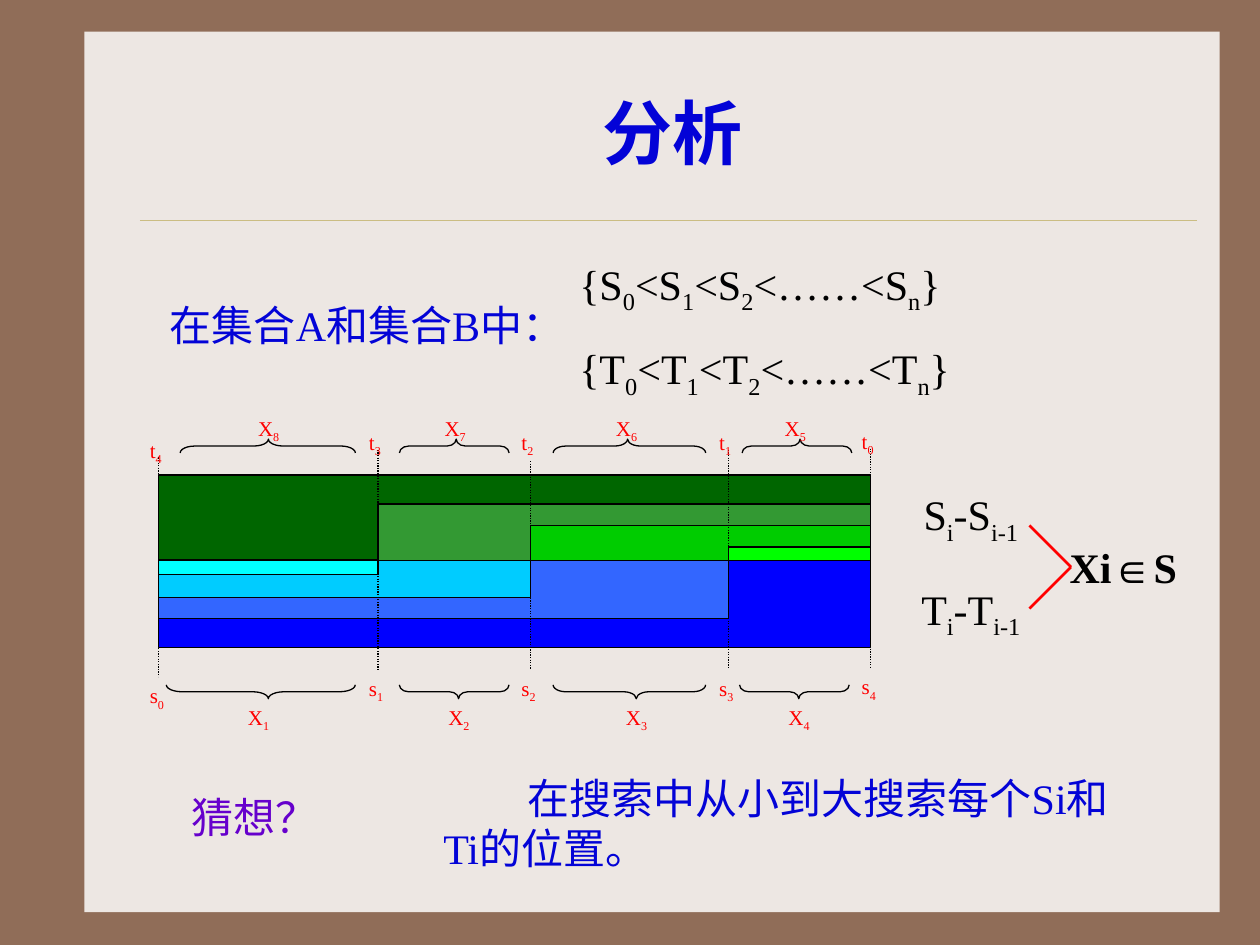
from dataclasses import dataclass

from lxml.etree import SubElement
from pptx import Presentation
from pptx.dml.color import RGBColor
from pptx.enum.dml import MSO_LINE
from pptx.enum.shapes import MSO_CONNECTOR, MSO_SHAPE
from pptx.enum.text import MSO_ANCHOR, PP_ALIGN
from pptx.oxml import parse_xml
from pptx.oxml.ns import nsdecls, qn
from pptx.util import Inches, Pt

BROWN = RGBColor(0x90, 0x6D, 0x58)
CREAM = RGBColor(0xED, 0xE7, 0xE3)
SAND = RGBColor(0xCB, 0xBD, 0x83)
BLUE = RGBColor(0x03, 0x03, 0xD7)
BLACK = RGBColor(0, 0, 0)
RED = RGBColor(0xFF, 0, 0)
VIOLET = RGBColor(0x66, 0, 0xCC)
MAGENTA = RGBColor(0xCC, 0, 0xCC)
LATIN_FONT = "Times New Roman"
CHINESE_FONT = "Noto Sans CJK SC"

AXIS = 4.45
BAR_LEFT, BAR_RIGHT = 1.26, 6.91
BRACE_DEPTH = 0.11
LABEL_SHIFT = 1.95


@dataclass
class Bar:
    left: float
    top: float
    right: float
    bottom: float
    color: RGBColor


@dataclass
class Boundary:
    x: float
    top: float
    middle: float
    label_top: float


@dataclass
class Brace:
    left: float
    right: float
    cusp: float
    label_left: float
    index: int
    above: bool


@dataclass
class Caption:
    left: float
    top: float
    width: float
    height: float
    pieces: tuple[str, ...]
    color: RGBColor = BLACK
    size: float = 24
    bold: bool = False
    centered: bool = False
    indent: float = 0


BARS = [
    Bar(BAR_LEFT, 3.77, BAR_RIGHT, AXIS, RGBColor(0, 0x66, 0)),
    Bar(BAR_LEFT, AXIS, BAR_RIGHT, 5.14, RGBColor(0, 0, 0xFF)),
    Bar(BAR_LEFT, AXIS, 5.78, 4.91, RGBColor(0x33, 0x66, 0xFF)),
    Bar(BAR_LEFT, AXIS, 4.21, 4.74, RGBColor(0, 0xCC, 0xFF)),
    Bar(BAR_LEFT, AXIS, 3, 4.56, RGBColor(0, 0xFF, 0xFF)),
    Bar(3, 4, BAR_RIGHT, AXIS, RGBColor(0x33, 0x99, 0x33)),
    Bar(4.21, 4.17, BAR_RIGHT, AXIS, RGBColor(0, 0xCC, 0)),
    Bar(5.78, 4.34, BAR_RIGHT, AXIS, RGBColor(0, 0xFF, 0)),
]

BOUNDARIES = [
    Boundary(BAR_LEFT, 3.63, 4.51, 3.42),
    Boundary(3, 3.57, 4.51, 3.36),
    Boundary(4.21, 3.66, 4.6, 3.36),
    Boundary(5.78, 3.57, 4.68, 3.36),
    Boundary(BAR_RIGHT, 3.56, 4.8, 3.35),
]

BRACES = [
    Brace(1.32, 2.82, 2.13, 1.87, 1, False),
    Brace(3.17, 4.04, 3.64, 3.46, 2, False),
    Brace(4.39, 5.6, 5.05, 4.87, 3, False),
    Brace(5.87, 6.74, 6.34, 6.16, 4, False),
    Brace(5.89, 6.76, 6.35, 6.13, 5, True),
    Brace(4.39, 5.6, 4.98, 4.79, 6, True),
    Brace(3.17, 4.04, 3.62, 3.43, 7, True),
    Brace(1.43, 2.82, 2.13, 1.95, 8, True),
]


def chain(letter: str) -> tuple[str, ...]:
    return ("{" + letter, "0", "<" + letter, "1", "<" + letter, "2",
            "<……<" + letter, "n", "}")


CAPTIONS = [
    Caption(1.25, 2.33, 3.08, 0.9, ("在集合A和集合B中：",), BLUE),
    Caption(4.5, 2, 3.17, 0.56, chain("S")),
    Caption(4.5, 2.67, 3.17, 0.56, chain("T")),
    Caption(8.33, 4.25, 1.17, 0.5, ("Xi∈S",), bold=True, centered=True),
    Caption(7.08, 3.83, 1.25, 0.56, ("S", "i", "-S", "i-1"), centered=True),
    Caption(7.08, 4.58, 1.25, 0.56, ("T", "i", "-T", "i-1"), centered=True),
    Caption(3.42, 6.08, 5.5, 0.9, ("在搜索中从小到大搜索每个Si和Ti的位置。",), BLUE, indent=0.67),
]


def add_run(paragraph, text: str, size: float, color: RGBColor, bold=False, latin=LATIN_FONT):
    run = paragraph.add_run()
    run.text = text
    run.font.size = Pt(size)
    run.font.bold = bold
    run.font.color.rgb = color
    run.font.name = latin
    SubElement(run.font._element, qn("a:ea")).set("typeface", CHINESE_FONT)
    return run


def add_caption(slide, caption: Caption) -> None:
    box = slide.shapes.add_textbox(Inches(caption.left), Inches(caption.top),
                                   Inches(caption.width), Inches(caption.height))
    box.text_frame.word_wrap = True
    paragraph = box.text_frame.paragraphs[0]
    paragraph.alignment = PP_ALIGN.CENTER if caption.centered else PP_ALIGN.LEFT
    if caption.indent:
        paragraph._p.get_or_add_pPr().set("indent", str(Inches(caption.indent)))
    for position, piece in enumerate(caption.pieces):
        run = add_run(paragraph, piece, caption.size, caption.color, caption.bold)
        if position % 2:
            run.font._element.set("baseline", "-25000")


def add_label(slide, left: float, top: float, width: float, letter: str, index: int) -> None:
    add_caption(slide, Caption(left, top, width, 0.33, (letter, str(index)), RED, 12))


def add_line(slide, start: tuple[float, float], end: tuple[float, float],
             color: RGBColor, width: float, dotted=False):
    line = slide.shapes.add_connector(MSO_CONNECTOR.STRAIGHT, Inches(start[0]), Inches(start[1]),
                                      Inches(end[0]), Inches(end[1]))
    line.line.color.rgb = color
    line.line.width = Pt(width)
    if dotted:
        line.line.dash_style = MSO_LINE.ROUND_DOT
    SubElement(line._element.spPr, qn("a:effectLst"))
    return line


def add_bar(slide, bar: Bar, outlined=True):
    shape = slide.shapes.add_shape(MSO_SHAPE.RECTANGLE, Inches(bar.left), Inches(bar.top),
                                   Inches(bar.right - bar.left), Inches(bar.bottom - bar.top))
    shape.shadow.inherit = False
    shape.fill.solid()
    shape.fill.fore_color.rgb = bar.color
    if outlined:
        shape.line.color.rgb = BLACK
        shape.line.width = Pt(0.75)
    else:
        shape.line.fill.background()
    return shape


def add_brace(slide, brace: Brace) -> None:
    length = brace.right - brace.left
    center_x = (brace.left + brace.right) / 2
    center_y = 3.54 if brace.above else 5.49
    shape = slide.shapes.add_shape(
        MSO_SHAPE.LEFT_BRACE, Inches(center_x - BRACE_DEPTH / 2), Inches(center_y - length / 2),
        Inches(BRACE_DEPTH), Inches(length))
    shape.rotation = 90 if brace.above else 270
    shape.adjustments[0] = length / 12 / BRACE_DEPTH
    cusp_offset = brace.right - brace.cusp if brace.above else brace.cusp - brace.left
    shape.adjustments[1] = cusp_offset / length
    shape.shadow.inherit = False
    shape.fill.background()
    shape.line.color.rgb = BLACK
    shape.line.width = Pt(0.75)
    add_label(slide, brace.label_left, 3.25 if brace.above else 5.54, 0.43, "X", brace.index)


def add_guess(slide) -> None:
    box = slide.shapes.add_textbox(Inches(1.42), Inches(5.92), Inches(1.5), Inches(1.13))
    box.text_frame.word_wrap = False
    box.text_frame.vertical_anchor = MSO_ANCHOR.MIDDLE
    run = add_run(box.text_frame.paragraphs[0], "猜想？", 24, VIOLET, latin=CHINESE_FONT)
    run.font.fill.gradient()
    run.font.fill.gradient_angle = 270
    for stop, color in zip(run.font.fill.gradient_stops, (VIOLET, MAGENTA)):
        stop.color.rgb = color
    run.font._element.insert(0, parse_xml(
        f'<a:ln {nsdecls("a")} w="{Pt(0.75)}"><a:solidFill><a:srgbClr val="CC99FF"/>'
        '</a:solidFill></a:ln>'))


def main() -> None:
    presentation = Presentation()
    presentation.slide_width, presentation.slide_height = Inches(10), Inches(7.5)
    slide = presentation.slides.add_slide(presentation.slide_layouts[5])
    slide.background.fill.solid()
    slide.background.fill.fore_color.rgb = BROWN

    title = slide.shapes.title
    title.left, title.top, title.width, title.height = map(Inches, (1.17, 0.42, 8.33, 1.25))
    title.text_frame.vertical_anchor = MSO_ANCHOR.MIDDLE
    title.text_frame.paragraphs[0].alignment = PP_ALIGN.CENTER
    add_run(title.text_frame.paragraphs[0], "分析", 40, BLUE, bold=True)
    panel = add_bar(slide, Bar(0.67, 0.25, 9.68, 7.24, CREAM), outlined=False)
    title.element.addprevious(panel.element)
    add_line(slide, (1.11, 1.75), (9.5, 1.75), SAND, 0.25)

    add_bar(slide, BARS[0])
    add_line(slide, (BAR_LEFT, AXIS), (BAR_RIGHT, AXIS), BLACK, 1.5)
    for bar in BARS[1:]:
        add_bar(slide, bar)
    for index, boundary in enumerate(BOUNDARIES):
        x, label_top = boundary.x, boundary.label_top
        bottom = label_top + LABEL_SHIFT
        add_line(slide, (x, boundary.top), (x, boundary.middle), BLACK, 0.75, dotted=True)
        add_line(slide, (x, boundary.middle), (x, bottom), BLACK, 0.75, dotted=True)
        add_label(slide, x - 0.17, label_top, 0.35, "t", len(BOUNDARIES) - 1 - index)
        add_label(slide, x - 0.17, bottom, 0.35, "s", index)
    for brace in BRACES:
        add_brace(slide, brace)
    for caption in CAPTIONS:
        add_caption(slide, caption)
    for y in (4.17, 4.83):
        add_line(slide, (8.17, y), (8.5, 4.5), RED, 1.5)
    add_guess(slide)
    presentation.save("out.pptx")


if __name__ == "__main__":
    main()
